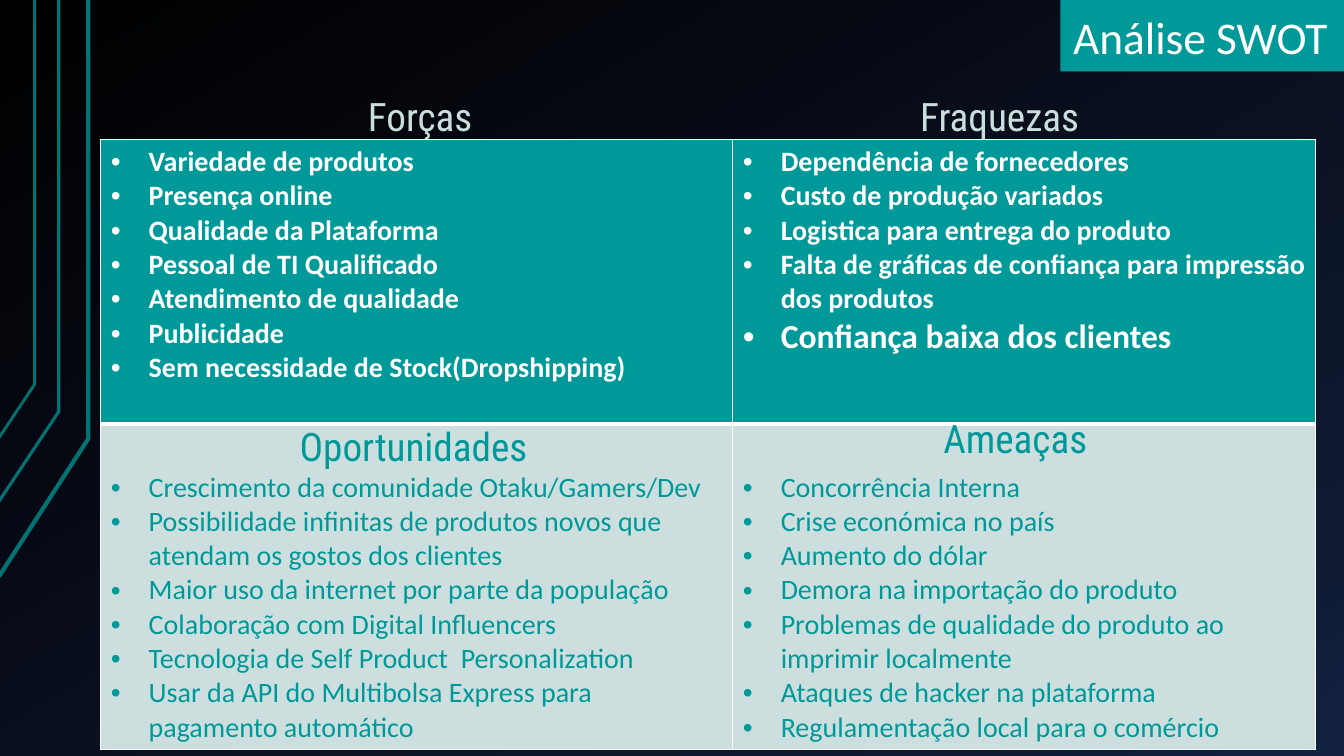
"""Build the SWOT analysis slide with its four quadrants."""
from copy import deepcopy

from lxml.etree import SubElement
from pptx import Presentation
from pptx.dml.color import RGBColor
from pptx.enum.text import MSO_ANCHOR, MSO_AUTO_SIZE, PP_ALIGN
from pptx.oxml import parse_xml
from pptx.oxml.ns import nsdecls, qn
from pptx.util import Pt

EMU_PER_PX = 9525

TEAL = RGBColor(0x00, 0x99, 0x99)
DARK_TEAL = RGBColor(0x00, 0x73, 0x73)
PALE = RGBColor(0xCC, 0xDE, 0xDE)
HEADING_PALE = RGBColor(0xCB, 0xDE, 0xDE)
WHITE = RGBColor(0xFF, 0xFF, 0xFF)
BLACK = RGBColor(0x00, 0x00, 0x00)
NIGHT = RGBColor(0x0F, 0x19, 0x31)
NAVY = RGBColor(0x14, 0x22, 0x42)

BACKGROUND_STOPS = [(0, BLACK), (0.85, NIGHT), (1, NAVY)]

CIRCUIT_LINES = [
    ([(-1, 549), (84, 418), (84, 0)], 3),
    ([(-2, 479), (56, 392), (56, 0)], 2.25),
    ([(-1, 417), (33, 366), (33, 0)], 2),
]

HEADINGS = [
    ("Oportunidades", (276, 397, 257, 55), TEAL),
    ("Ameaças", (889, 390, 174, 55), TEAL),
    ("Forças", (341, 83, 129, 55), HEADING_PALE),
    ("Fraquezas", (867, 83, 197, 55), HEADING_PALE),
]

COLUMN_WIDTHS = [602, 555]
ROW_HEIGHTS = [271, 309]
ROW_STYLES = [
    {"fill": TEAL, "color": WHITE, "bold": True, "top": 5, "rule": 3},
    {"fill": PALE, "color": TEAL, "bold": False, "top": 44, "rule": 1},
]
LARGE_ITEM = "Confiança baixa dos clientes"

QUADRANTS = [
    [
        [
            "Variedade de produtos",
            "Presença online",
            "Qualidade da Plataforma",
            "Pessoal de TI Qualificado",
            "Atendimento de qualidade",
            "Publicidade",
            "Sem necessidade de Stock(Dropshipping)",
        ],
        [
            "Dependência de fornecedores",
            "Custo de produção variados",
            "Logistica para entrega do produto",
            "Falta de gráficas de confiança para impressão dos produtos",
            LARGE_ITEM,
        ],
    ],
    [
        [
            "Crescimento da comunidade Otaku/Gamers/Dev",
            "Possibilidade infinitas de produtos novos que atendam os gostos dos clientes",
            "Maior uso da internet por parte da população",
            "Colaboração com Digital Influencers",
            "Tecnologia de Self Product  Personalization",
            "Usar da API do Multibolsa Express para pagamento automático",
        ],
        [
            "Concorrência Interna",
            "Crise económica no país",
            "Aumento do dólar",
            "Demora na importação do produto",
            "Problemas de qualidade do produto ao imprimir localmente",
            "Ataques de hacker na plataforma",
            "Regulamentação local para o comércio",
        ],
    ],
]


def px(*lengths):
    return [length * EMU_PER_PX for length in lengths]


def apply_format(target, values):
    for name, value in values.items():
        setattr(target, name, value)


def write_text(paragraph, text, size, font_name, color, bold=False):
    run = paragraph.add_run()
    run.text = text
    apply_format(run.font, {"size": Pt(size), "name": font_name, "bold": bold})
    run.font.color.rgb = color


def paint_background(slide):
    fill = slide.background.fill
    fill.gradient()
    fill.gradient_angle = 300
    stop_list = slide.element.find(".//" + qn("a:gsLst"))
    stop_list.append(deepcopy(stop_list[-1]))
    for stop, (position, color) in zip(fill.gradient_stops, BACKGROUND_STOPS):
        stop.color.rgb = color
        stop.position = position


def add_circuit_line(slide, points, width):
    start, *rest = [px(*point) for point in points]
    builder = slide.shapes.build_freeform(*start)
    builder.add_line_segments(rest, close=False)
    shape = builder.convert_to_shape()
    shape.shadow.inherit = False
    shape.fill.background()
    shape.line.color.rgb = DARK_TEAL
    shape.line.width = Pt(width)


def fill_title(slide):
    title = slide.shapes.title
    left, top, width, height = px(1010, 0, 270, 68)
    apply_format(title, {"left": left, "top": top, "width": width, "height": height})
    title.fill.solid()
    title.fill.fore_color.rgb = TEAL
    side, edge = px(12, 7)
    apply_format(title.text_frame, {
        "auto_size": MSO_AUTO_SIZE.NONE,
        "vertical_anchor": MSO_ANCHOR.BOTTOM,
        "margin_left": side,
        "margin_right": side,
        "margin_top": edge,
        "margin_bottom": edge,
    })
    paragraph = title.text_frame.paragraphs[0]
    apply_format(paragraph, {"alignment": PP_ALIGN.LEFT, "line_spacing": 0.9})
    write_text(paragraph, "Análise SWOT", 32.4, "Calibri", WHITE)


def add_heading(slide, text, box, color):
    frame = slide.shapes.add_textbox(*px(*box)).text_frame
    frame.word_wrap = True
    write_text(frame.paragraphs[0], text, 28, "Roboto Condensed", color)


def add_bullet(paragraph):
    properties = paragraph._p.get_or_add_pPr()
    indent, = px(36)
    properties.set("marL", str(indent))
    properties.set("indent", str(-indent))
    SubElement(properties, qn("a:buFont")).set("typeface", "Arial")
    SubElement(properties, qn("a:buChar")).set("char", "•")


def draw_borders(cell, widths):
    properties = cell._tc.get_or_add_tcPr()
    for index, (side, width) in enumerate(widths.items()):
        properties.insert(index, parse_xml(
            f'<a:ln{side} {nsdecls("a")} w="{Pt(width)}"><a:solidFill>'
            f'<a:srgbClr val="{WHITE}"/></a:solidFill></a:ln{side}>'
        ))


def fill_quadrant(cell, items, style, top_rule):
    cell.fill.solid()
    cell.fill.fore_color.rgb = style["fill"]
    cell.margin_top, = px(style["top"])
    draw_borders(cell, {"L": 1, "R": 1, "T": top_rule, "B": style["rule"]})
    frame = cell.text_frame
    for index, item in enumerate(items):
        paragraph = frame.add_paragraph() if index else frame.paragraphs[0]
        add_bullet(paragraph)
        size = 24 if item == LARGE_ITEM else 20
        write_text(paragraph, item, size, "Calibri", style["color"], style["bold"])


def add_swot_table(slide):
    box = px(96, 133, sum(COLUMN_WIDTHS), sum(ROW_HEIGHTS))
    table = slide.shapes.add_table(len(ROW_HEIGHTS), len(COLUMN_WIDTHS), *box).table
    apply_format(table, {"first_row": False, "horz_banding": False})
    for column, width in zip(table.columns, px(*COLUMN_WIDTHS)):
        column.width = width
    top_rule = 1
    for row, height, lists, style in zip(table.rows, px(*ROW_HEIGHTS), QUADRANTS, ROW_STYLES):
        row.height = height
        for cell, items in zip(row.cells, lists):
            fill_quadrant(cell, items, style, top_rule)
        top_rule = style["rule"]


def main():
    presentation = Presentation()
    presentation.slide_width, presentation.slide_height = px(1280, 720)
    slide = presentation.slides.add_slide(presentation.slide_layouts[5])
    paint_background(slide)
    for points, width in CIRCUIT_LINES:
        add_circuit_line(slide, points, width)
    fill_title(slide)
    add_swot_table(slide)
    for text, box, color in HEADINGS:
        add_heading(slide, text, box, color)
    presentation.save("out.pptx")


if __name__ == "__main__":
    main()
